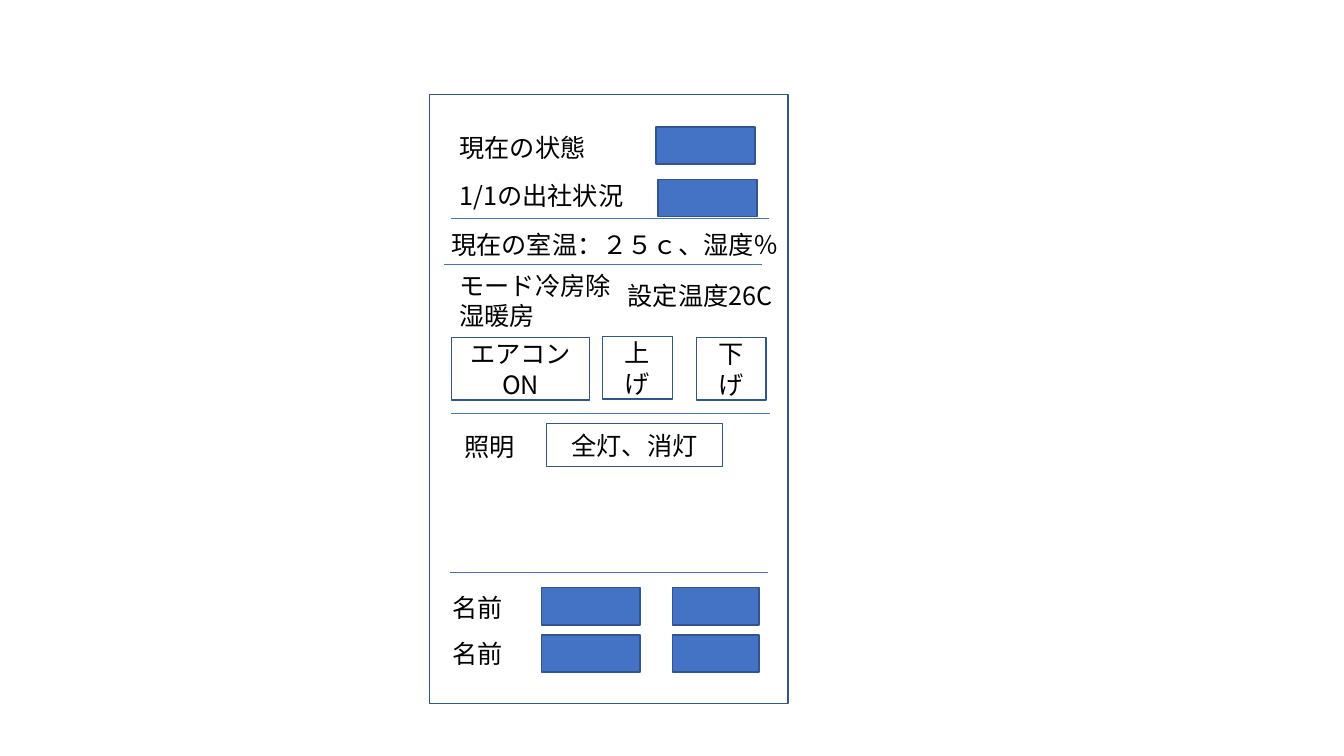
from dataclasses import dataclass

from lxml.etree import SubElement
from pptx import Presentation
from pptx.dml.color import RGBColor
from pptx.enum.shapes import MSO_CONNECTOR, MSO_SHAPE
from pptx.enum.text import MSO_ANCHOR, MSO_AUTO_SIZE, PP_ALIGN
from pptx.oxml.ns import qn
from pptx.util import Pt


@dataclass(frozen=True)
class Theme:
    """Colours, font and sizes of the slide."""
    accent: RGBColor = RGBColor(0x44, 0x72, 0xC4)
    edge: RGBColor = RGBColor(0x32, 0x54, 0x91)
    paper: RGBColor = RGBColor(0xFF, 0xFF, 0xFF)
    ink: RGBColor = RGBColor(0, 0, 0)
    font: str = "Noto Sans CJK JP"
    size: float = 18
    border: float = 1
    rule: float = 0.5


T = Theme()
FIELD_W, FIELD_H = 70.6, 26.6
BUTTON_W, BUTTON_H = 49.7, 44.6
RULE_W = 227.8


def style_text(tf, text, align):
    """Fill a text frame and format all its runs."""
    tf.word_wrap = True
    tf.text = text
    for p in tf.paragraphs:
        p.alignment = align
        for r in p.runs:
            r.font.name = T.font
            r.font.size = Pt(T.size)
            r.font.color.rgb = T.ink
            SubElement(r.font._element, qn("a:ea"), typeface=T.font)


def add_rect(s, x, y, w, h, fill, text=""):
    """Add a bordered rectangle with optional centred text."""
    sp = s.shapes.add_shape(MSO_SHAPE.RECTANGLE, Pt(x), Pt(y), Pt(w), Pt(h))
    sp.shadow.inherit = False
    sp.fill.solid()
    sp.fill.fore_color.rgb = fill
    sp.line.color.rgb = T.edge
    sp.line.width = Pt(T.border)
    if text:
        sp.text_frame.vertical_anchor = MSO_ANCHOR.MIDDLE
        style_text(sp.text_frame, text, PP_ALIGN.CENTER)


def add_label(s, x, y, w, text, h=28.8):
    """Add a left-aligned text box that grows with its text."""
    tf = s.shapes.add_textbox(Pt(x), Pt(y), Pt(w), Pt(h)).text_frame
    style_text(tf, text, PP_ALIGN.LEFT)
    tf.auto_size = MSO_AUTO_SIZE.SHAPE_TO_FIT_TEXT


def add_rule(s, x, y):
    """Add a thin horizontal divider."""
    ln = s.shapes.add_connector(MSO_CONNECTOR.STRAIGHT,
                                Pt(x), Pt(y), Pt(x + RULE_W), Pt(y))
    ln.line.color.rgb = T.accent
    ln.line.width = Pt(T.rule)
    SubElement(ln._element.spPr, qn("a:effectLst"))


def add_status(s, x, y):
    """Current state and attendance, each with a field."""
    add_label(s, x + 14.4, y, 115.2, "現在の状態")
    add_label(s, x + 14.4, y + 34.6, 139, "1/1の出社状況")
    add_rect(s, x + 162, y, FIELD_W, FIELD_H, T.accent)
    add_rect(s, x + 163.4, y + 37.5, FIELD_W, FIELD_H, T.accent)
    add_rule(s, x + 15.1, y + 65.6)


def add_climate(s, x, y):
    """Room readings, mode, set temperature and air-conditioner buttons."""
    add_label(s, x + 8.6, y, 276.5, "現在の室温:25c、湿度%".translate(
        {ord(c): ord(c) + 0xFEE0 for c in ":25c%"}))
    add_rule(s, x + 10.1, y + 28.1)
    add_label(s, x + 14.4, y + 28.8, 123.1, "モード冷房除湿暖房", 51.1)
    add_label(s, x + 134.6, y + 36, 139, "設定温度26C")
    buttons = [(15.8, 80.6, 98.6, "エアコン\nON"),
               (123.8, 79.9, BUTTON_W, "上げ"),
               (190.8, 80.6, BUTTON_W, "下げ")]
    for dx, dy, w, text in buttons:
        add_rect(s, x + dx, y + dy, w, BUTTON_H, T.paper, text)
    add_rule(s, x + 15.8, y + 134.6)


def add_lighting(s, x, y):
    """Lighting label and its button."""
    add_label(s, x + 18, y + 2.2, 57.6, "照明")
    add_rect(s, x + 83.5, y, 126, 31, T.paper, "全灯、消灯")


def add_members(s, x, y):
    """Divider above rows of a name with two fields."""
    add_rule(s, x + 14.4, y)
    for i in range(2):
        add_label(s, x + 9.4, y + 10.8 + 32.4 * i, 70.6, "名前")
        for dx, w in ((79.9, FIELD_W), (173.5, 61.9)):
            add_rect(s, x + dx, y + 10.8 + 33.8 * i, w, FIELD_H, T.accent)


def add_panel(s, x, y, w, h):
    """Phone-like panel holding all regions."""
    add_rect(s, x, y, w, h, T.paper)
    add_status(s, x, y + 23)
    add_climate(s, x, y + 92.9)
    add_lighting(s, x, y + 234.7)
    add_members(s, x, y + 341.3)


prs = Presentation()
prs.slide_width, prs.slide_height = Pt(960), Pt(540)
s = prs.slides.add_slide(prs.slide_layouts[6])
add_panel(s, 306.7, 67.7, 256.3, 434.9)
prs.save("out.pptx")
